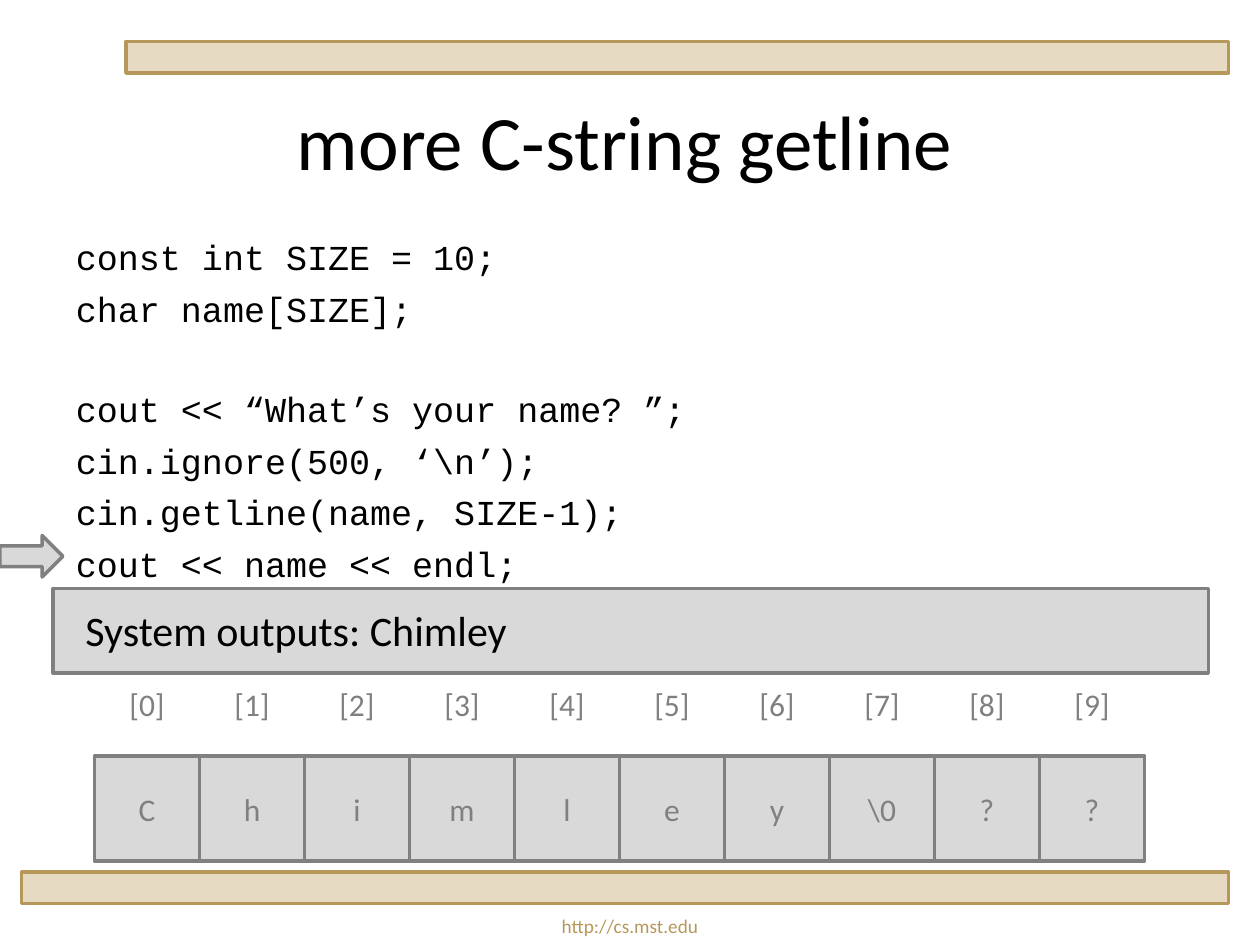
"""Build a slide that shows how getline fills a C-string array."""
from dataclasses import dataclass

from pptx import Presentation
from pptx import util as u
from pptx.dml.color import RGBColor
from pptx.enum import shapes, text


@dataclass(frozen=True)
class Theme:
    sans: str = "Calibri"
    mono: str = "Courier New"
    black: str = "000000"
    gray: str = "808080"
    light_gray: str = "D9D9D9"
    gold: str = "B6985A"
    light_gold: str = "E6DAC2"
    title_size: float = 44
    output_size: float = 24
    code_size: float = 20
    cell_size: float = 18
    footer_size: float = 11
    line_width: float = 2
    code_gap: float = 5.4
    blank_line: float = 22.66


@dataclass(frozen=True)
class Box:
    left: float
    top: float
    width: float
    height: float

    def lengths(self) -> tuple:
        return tuple(u.Inches(n) for n in (self.left, self.top, self.width, self.height))


@dataclass(frozen=True)
class Style:
    size: float
    color: str
    font: str
    align: text.PP_ALIGN = text.PP_ALIGN.CENTER


@dataclass(frozen=True)
class ArrayCell:
    index: int
    character: str


THEME = Theme()
TITLE = Style(THEME.title_size, THEME.black, THEME.sans)
OUTPUT = Style(THEME.output_size, THEME.black, THEME.sans, text.PP_ALIGN.LEFT)
CODE = Style(THEME.code_size, THEME.black, THEME.mono, text.PP_ALIGN.LEFT)
CELL = Style(THEME.cell_size, THEME.gray, THEME.sans)
FOOTER = Style(THEME.footer_size, THEME.gold, THEME.sans)

DECLARATIONS = ("  const int SIZE = 10;", "  char name[SIZE];")
STATEMENTS = (
    "  cout << “What’s your name? ”;",
    "  cin.ignore(500, ‘\\n’);",
    "  cin.getline(name, SIZE-1);",
    "  cout << name << endl;",
)
CELLS = [ArrayCell(i, c) for i, c in enumerate([*"Chimley", "\\0", "?", "?"])]
CELL_SIDE = 5 / 6
ARRAY_LEFT, INDEX_TOP, ARRAY_TOP = 0.75, 5.17, 6


def add_run(paragraph, words: str, style: Style) -> None:
    """Add one styled run to a paragraph."""
    paragraph.alignment = style.align
    run = paragraph.add_run()
    run.text = words
    run.font.name = style.font
    run.font.size = u.Pt(style.size)
    run.font.color.rgb = RGBColor.from_string(style.color)


def add_shape(slide, kind: shapes.MSO_SHAPE, box: Box, fill: str, line: str):
    """Add a filled and outlined preset shape."""
    shape = slide.shapes.add_shape(kind, *box.lengths())
    shape.shadow.inherit = False
    shape.fill.solid()
    shape.fill.fore_color.rgb = RGBColor.from_string(fill)
    shape.line.color.rgb = RGBColor.from_string(line)
    shape.line.width = u.Pt(THEME.line_width)
    return shape


def add_label(slide, box: Box, words: str, style: Style,
              anchor: text.MSO_ANCHOR = text.MSO_ANCHOR.MIDDLE, wrap: bool = True) -> None:
    """Add a text box with a single line."""
    frame = slide.shapes.add_textbox(*box.lengths()).text_frame
    frame.word_wrap = wrap
    frame.vertical_anchor = anchor
    add_run(frame.paragraphs[0], words, style)


def add_code(slide, box: Box) -> None:
    """Add the listing, with a line's gap between declarations and statements."""
    frame = slide.shapes.add_textbox(*box.lengths()).text_frame
    frame.word_wrap = True
    for number, line in enumerate(DECLARATIONS + STATEMENTS):
        paragraph = frame.add_paragraph() if number else frame.paragraphs[0]
        if number == len(DECLARATIONS):
            paragraph.space_before = u.Pt(2 * THEME.code_gap + THEME.blank_line)
        elif number:
            paragraph.space_before = u.Pt(THEME.code_gap)
        add_run(paragraph, line, CODE)


def add_cell(slide, cell: ArrayCell) -> None:
    """Add one array cell and the index above it."""
    left = ARRAY_LEFT + cell.index * CELL_SIDE
    square = Box(left, ARRAY_TOP, CELL_SIDE, CELL_SIDE)
    shape = add_shape(slide, shapes.MSO_SHAPE.RECTANGLE, square, THEME.light_gray, THEME.gray)
    shape.text_frame.vertical_anchor = text.MSO_ANCHOR.MIDDLE
    add_run(shape.text_frame.paragraphs[0], cell.character, CELL)
    add_label(slide, Box(left, INDEX_TOP, CELL_SIDE, CELL_SIDE), f"[{cell.index}]", CELL)


def main() -> None:
    """Build and save the slide."""
    presentation = Presentation()
    presentation.slide_width, presentation.slide_height = u.Inches(10), u.Inches(7.5)
    slide = presentation.slides.add_slide(presentation.slide_layouts[6])
    rectangle = shapes.MSO_SHAPE.RECTANGLE

    for bar in (Box(1, 0.33, 8.75, 0.25), Box(0.17, 6.92, 9.58, 0.25)):
        add_shape(slide, rectangle, bar, THEME.light_gold, THEME.gold)
    add_label(slide, Box(0, 7.21, 10, 0.29), "http://cs.mst.edu", FOOTER, text.MSO_ANCHOR.TOP)
    add_label(slide, Box(0.17, 0.67, 9.58, 0.88), "more C-string getline", TITLE)
    add_code(slide, Box(0.17, 1.82, 9.58, 4.88))

    arrow = Box(0, 4.25, 0.5, 0.33)
    add_shape(slide, shapes.MSO_SHAPE.RIGHT_ARROW, arrow, THEME.light_gray, THEME.gray)
    add_shape(slide, rectangle, Box(0.42, 4.67, 9.17, 0.67), THEME.light_gray, THEME.gray)
    add_label(slide, Box(0.58, 4.75, 3.71, 0.5), "System outputs: Chimley", OUTPUT,
              text.MSO_ANCHOR.TOP, wrap=False)
    for cell in CELLS:
        add_cell(slide, cell)
    presentation.save("out.pptx")


if __name__ == "__main__":
    main()
